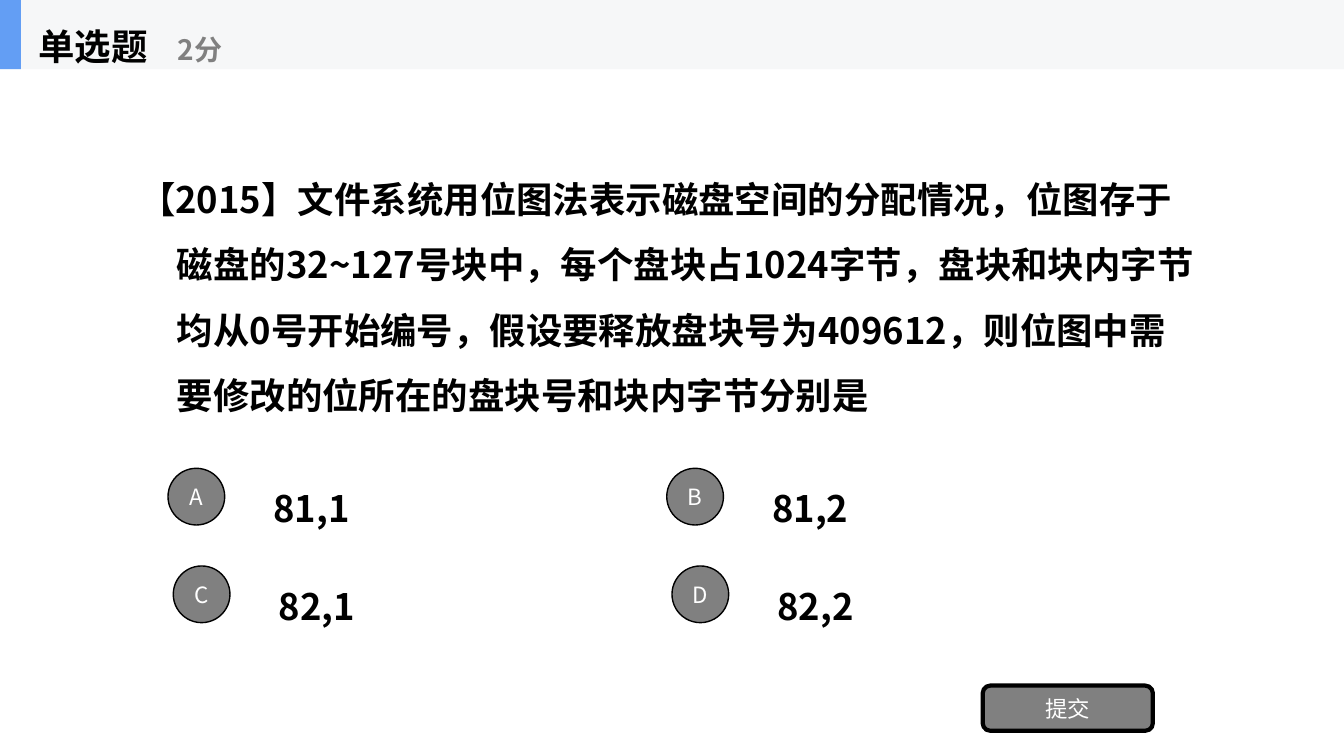
"""Build a single-choice quiz slide with four options and a submit button."""
from lxml import etree
from pptx import Presentation
from pptx import util as u
from pptx.dml.color import RGBColor
from pptx.enum import shapes, text
from pptx.oxml.ns import qn

FONT = "Noto Sans CJK SC"
BLACK = RGBColor(0x00, 0x00, 0x00)
WHITE = RGBColor(0xFF, 0xFF, 0xFF)
GRAY = RGBColor(0x80, 0x80, 0x80)
PALE = RGBColor(0xF6, 0xF7, 0xF8)
BLUE = RGBColor(0x63, 0x9E, 0xF4)

TITLE = "单选题"
SCORE = "2分"
QUESTION = (
    "【2015】文件系统用位图法表示磁盘空间的分配情况，位图存于磁盘的32~127号块中，"
    "每个盘块占1024字节，盘块和块内字节均从0号开始编号，假设要释放盘块号为409612，"
    "则位图中需要修改的位所在的盘块号和块内字节分别是"
)
OPTIONS = [("A", "81,1"), ("B", "81,2"), ("C", "82,1"), ("D", "82,2")]
SUBMIT = "提交"

WIDTH, HEIGHT = 1280, 720
HEADER_HEIGHT = 66
HANGING = 36
GRID_LEFT, GRID_TOP = 160, 446
COLUMN_STEP, ROW_STEP, ROW_SHIFT = 475, 93, 5
CIRCLE = 54
ANSWER_DX, ANSWER_DY = 91, -6


def px(length):
    return u.Emu(length * 9525)


def write(shape, words, size=26, color=BLACK, bold=True, hanging=True, wrap=True):
    frame = shape.text_frame
    frame.word_wrap = wrap
    frame.vertical_anchor = text.MSO_ANCHOR.MIDDLE
    paragraph = frame.paragraphs[0]
    if hanging:
        paragraph.alignment = text.PP_ALIGN.LEFT
        paragraph.line_spacing = 1.5
        properties = paragraph._p.get_or_add_pPr()
        properties.set("marL", str(px(HANGING)))
        properties.set("indent", str(px(-HANGING)))
    else:
        paragraph.alignment = text.PP_ALIGN.CENTER
    run = paragraph.add_run()
    run.text = words
    font = run.font
    font.size, font.bold, font.name = u.Pt(size), bold, FONT
    font.color.rgb = color
    east_asian = etree.SubElement(run._r.get_or_add_rPr(), qn("a:ea"))
    east_asian.set("typeface", FONT)


def add_text(parent, box, words, **style):
    write(parent.add_textbox(*map(px, box)), words, **style)


def add_block(parent, kind, box, fill, line_width=0):
    shape = parent.add_shape(kind, *map(px, box))
    shape.shadow.inherit = False
    shape.fill.solid()
    shape.fill.fore_color.rgb = fill
    if line_width:
        shape.line.color.rgb = BLACK
        shape.line.width = u.Pt(line_width)
    else:
        shape.line.fill.background()
    return shape


def add_button(parent, kind, box, words, line_width):
    shape = add_block(parent, kind, box, GRAY, line_width)
    write(shape, words, size=16, color=WHITE, bold=False, hanging=False)


def add_options(parent):
    for index, (letter, answer) in enumerate(OPTIONS):
        row, column = divmod(index, 2)
        left = GRID_LEFT + column * COLUMN_STEP + row * ROW_SHIFT
        top = GRID_TOP + row * ROW_STEP
        add_text(parent, (left + ANSWER_DX, top + ANSWER_DY, 384, 67), answer)
        add_button(parent, shapes.MSO_SHAPE.OVAL, (left, top, CIRCLE, CIRCLE), letter, 1)


def add_header(parent):
    header = parent.add_group_shape().shapes
    for width, fill in ((WIDTH, PALE), (20, BLUE)):
        add_block(header, shapes.MSO_SHAPE.RECTANGLE, (0, 0, width, HEADER_HEIGHT), fill)
    add_text(header, (27, 0, 200, HEADER_HEIGHT), TITLE, wrap=False)
    add_text(header, (160, 12, 240, 54), SCORE, size=20, color=GRAY, wrap=False)


def main():
    presentation = Presentation()
    presentation.slide_width, presentation.slide_height = px(WIDTH), px(HEIGHT)
    slide = presentation.slides.add_slide(presentation.slide_layouts[6])
    add_text(slide.shapes, (123, 144, 1024, 257), QUESTION)
    add_options(slide.shapes)
    add_button(slide.shapes, shapes.MSO_SHAPE.ROUNDED_RECTANGLE, (936, 653, 162, 43), SUBMIT, 3)
    add_header(slide.shapes)
    presentation.save("out.pptx")


if __name__ == "__main__":
    main()
